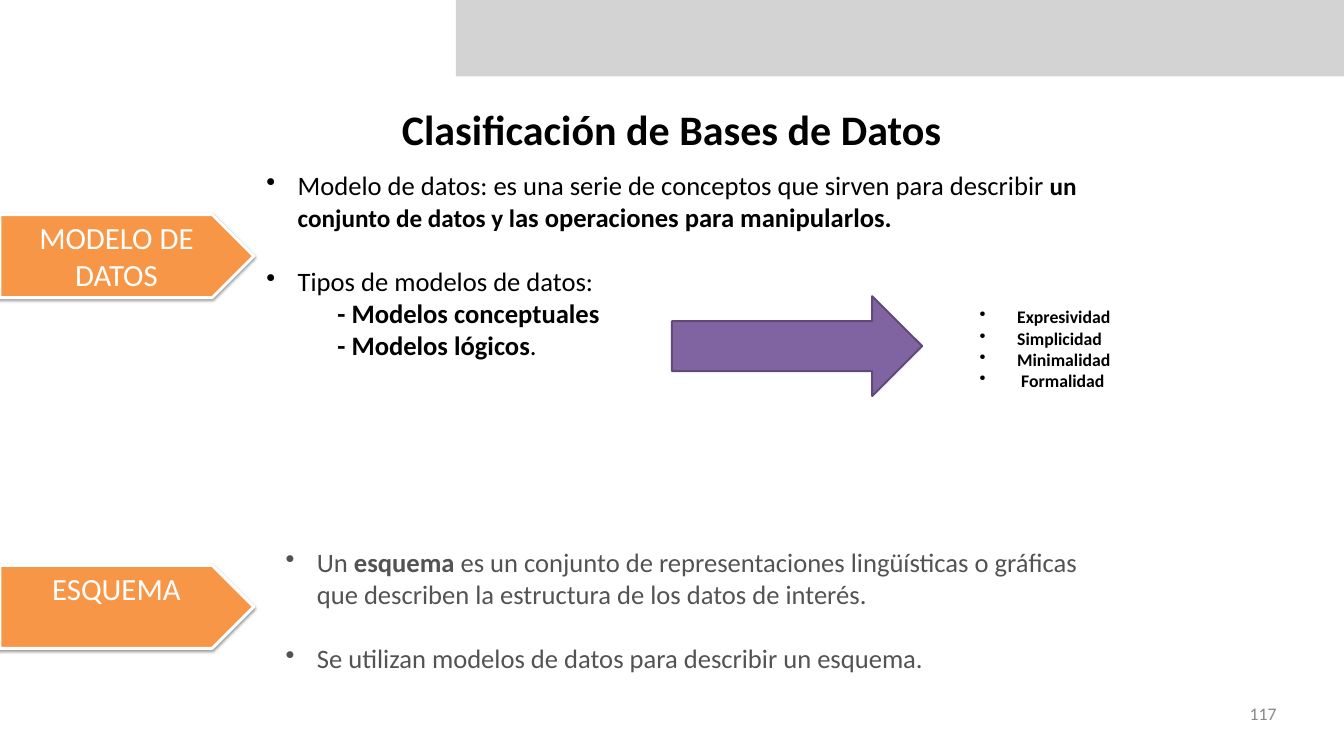
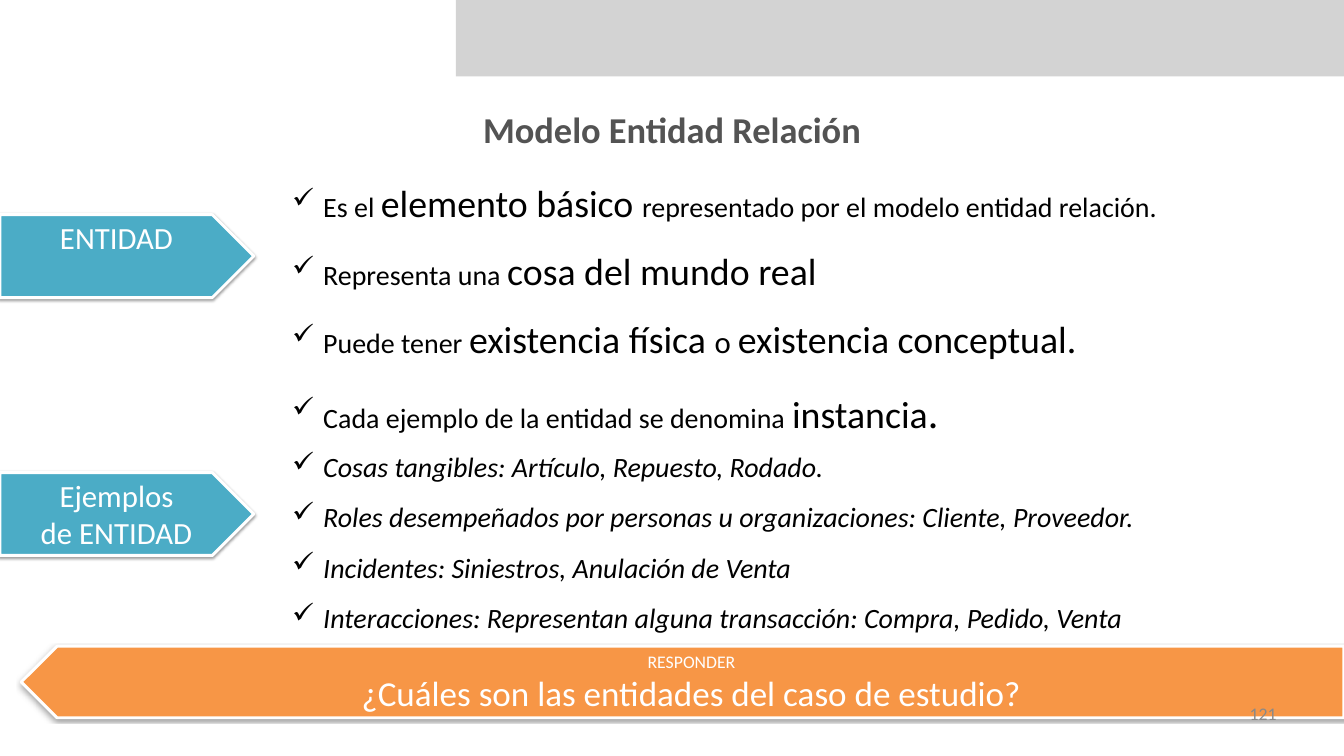
from lxml import etree
from pptx import Presentation
from pptx.dml.color import RGBColor
from pptx.enum.shapes import MSO_SHAPE
from pptx.enum.text import MSO_ANCHOR, MSO_AUTO_SIZE, PP_ALIGN
from pptx.oxml import parse_xml
from pptx.oxml.ns import nsdecls, qn
from pptx.util import Inches, Pt

RECTANGLE = MSO_SHAPE.RECTANGLE
PENTAGON = MSO_SHAPE.PENTAGON
RIGHT_ARROW = MSO_SHAPE.RIGHT_ARROW
TOP = MSO_ANCHOR.TOP
MIDDLE = MSO_ANCHOR.MIDDLE
LEFT = PP_ALIGN.LEFT
CENTER = PP_ALIGN.CENTER
RIGHT = PP_ALIGN.RIGHT
NO_AUTOFIT = MSO_AUTO_SIZE.NONE

BLACK = RGBColor(0x00, 0x00, 0x00)
WHITE = RGBColor(0xFF, 0xFF, 0xFF)
CHARCOAL = RGBColor(0x53, 0x53, 0x53)
NUMBER_GREY = RGBColor(0x89, 0x89, 0x89)
BAND_GREY = RGBColor(0xD3, 0xD3, 0xD3)
ORANGE = RGBColor(0xF7, 0x96, 0x46)
TEAL = RGBColor(0x4B, 0xAC, 0xC6)
PURPLE = RGBColor(0x80, 0x64, 0xA2)
DARK_PURPLE = RGBColor(0x5F, 0x4A, 0x78)

FONT = "Calibri"
INSET = 0.06
DOT = "•"
CHECK = "✓"
BODY_SIZE = 27
LABEL_SIZE = 31.3
CHECK_SIZE = 28.4
KEY_SIZE = 38.4
BLANK_LINE = 32.5

SHADOW = (
    f'<a:effectLst {nsdecls("a")}><a:outerShdw blurRad="39370" dist="20320" dir="5400000" '
    'rotWithShape="0"><a:srgbClr val="000000"><a:alpha val="38000"/></a:srgbClr>'
    "</a:outerShdw></a:effectLst>"
)


class Deck:
    def __init__(self):
        self.presentation = Presentation()
        self.presentation.slide_width = Inches(18.96)
        self.presentation.slide_height = Inches(10.67)
        self.slide = None

    def start_slide(self, title, size, color):
        self.slide = self.presentation.slides.add_slide(self.presentation.slide_layouts[5])
        heading = self.slide.shapes.title
        heading.left, heading.top = Inches(3.76), Inches(1.45)
        heading.width, heading.height = Inches(11.44), Inches(0.73)
        self.prepare(heading.text_frame, MIDDLE, INSET)
        self.fill_paragraph(heading.text_frame.paragraphs[0], title, size, color, CENTER, bold=True)
        self.shape(RECTANGLE, (6.43, 0, 12.53, 1.08), BAND_GREY)

    def prepare(self, frame, anchor, inset):
        frame.word_wrap = True
        frame.auto_size = NO_AUTOFIT
        frame.vertical_anchor = anchor
        frame.margin_left = frame.margin_right = Inches(inset)
        frame.margin_top = frame.margin_bottom = Inches(inset)

    def fill_paragraph(self, paragraph, content, size, color, align=LEFT, bold=False, italic=False):
        paragraph.alignment = align
        font = paragraph.font
        font.name, font.size, font.bold, font.italic = FONT, Pt(size), bold, italic
        font.color.rgb = color
        pieces = [(content, {})] if isinstance(content, str) else content
        for text, changes in pieces:
            run = paragraph.add_run()
            run.text = text
            if "size" in changes:
                run.font.size = Pt(changes["size"])
            if "bold" in changes:
                run.font.bold = changes["bold"]

    def indent(self, paragraph, margin, bullet=None):
        properties = paragraph._p.get_or_add_pPr()
        properties.set("marL", str(Inches(margin)))
        if bullet:
            properties.set("indent", str(-Inches(margin)))
            etree.SubElement(properties, qn("a:buChar")).set("char", bullet)

    def text(self, box, anchor=TOP, inset=INSET):
        frame = self.slide.shapes.add_textbox(*map(Inches, box)).text_frame
        self.prepare(frame, anchor, inset)
        return frame

    def next_paragraph(self, frame):
        first = frame.paragraphs[0]
        return frame.add_paragraph() if first.runs else first

    def bullets(self, frame, items, size, color, bullet=DOT, margin=0.44, gap=0,
                spacing=None, bold=False, italic=False):
        for position, content in enumerate(items):
            paragraph = self.next_paragraph(frame)
            self.indent(paragraph, margin, bullet)
            if spacing:
                paragraph.line_spacing = spacing
            if gap and position:
                paragraph.space_before = Pt(gap)
            self.fill_paragraph(paragraph, content, size, color, bold=bold, italic=italic)

    def shape(self, kind, box, fill, outline=None, outline_width=0):
        shape = self.slide.shapes.add_shape(kind, *map(Inches, box))
        shape.shadow.inherit = False
        shape.fill.solid()
        shape.fill.fore_color.rgb = fill
        if outline is None:
            shape.line.fill.background()
        else:
            shape.line.color.rgb = outline
            shape.line.width = Pt(outline_width)
        return shape

    def tag(self, box, fill, lines, flipped=False):
        tag = self.shape(PENTAGON, box, fill, WHITE, 3)
        properties = tag._element.spPr
        properties.replace(properties.find(qn("a:effectLst")), parse_xml(SHADOW))
        if flipped:
            properties.find(qn("a:xfrm")).set("flipH", "1")
        self.prepare(tag.text_frame, TOP, INSET)
        for line, size in lines:
            self.fill_paragraph(self.next_paragraph(tag.text_frame), line, size, WHITE, CENTER)

    def side_tag(self, top, fill, *lines):
        self.tag((0, top, 3.58, 1.17), fill, [(line, LABEL_SIZE) for line in lines])

    def number(self, value):
        frame = self.text((13.65, 9.92, 4.36, 0.3), inset=0)
        self.fill_paragraph(frame.paragraphs[0], value, 18, NUMBER_GREY, RIGHT)


def build_classification(deck):
    deck.start_slide("Clasificación de Bases de Datos", 42.7, BLACK)
    strong = {"bold": True}
    models = deck.text((3.76, 2.39, 11.44, 2.73), inset=0)
    deck.bullets(models, [
        [("Modelo de datos: es una serie de conceptos que sirven para describir ", {}),
         ("un conjunto de datos y l", {"size": 25.6, "bold": True}),
         ("as operaciones para manipularlos.", strong)],
        "Tipos de modelos de datos:",
    ], BODY_SIZE, BLACK, gap=BLANK_LINE)
    deck.bullets(models, [
        "- Modelos conceptuales",
        [("- Modelos lógicos", {}), (".", {"bold": False})],
    ], BODY_SIZE, BLACK, bullet=None, margin=1, bold=True)
    deck.side_tag(3.03, ORANGE, "MODELO DE", "DATOS")
    qualities = deck.text((13.76, 4.11, 4.27, 1.62), MIDDLE)
    deck.bullets(qualities, ["Expresividad", "Simplicidad", "Minimalidad", " Formalidad"],
                 18, BLACK, margin=0.53, bold=True)
    deck.shape(RIGHT_ARROW, (9.48, 4.18, 3.53, 1.41), PURPLE, DARK_PURPLE, 2)
    deck.side_tag(7.98, ORANGE, "ESQUEMA")
    schema = deck.text((3.97, 7.65, 11.52, 2.39))
    deck.bullets(schema, [
        [("Un ", {}), ("esquema ", strong),
         ("es un conjunto de representaciones lingüísticas o gráficas que describen "
          "la estructura de los datos de interés.", {})],
        "Se utilizan modelos de datos para describir un esquema.",
    ], BODY_SIZE, CHARCOAL, gap=BLANK_LINE)
    deck.number("117")


def build_entity_model(deck):
    deck.start_slide("Modelo Entidad Relación", 37, CHARCOAL)
    key = {"size": KEY_SIZE}
    definition = deck.text((4.06, 2.14, 14.47, 4.1), MIDDLE)
    deck.bullets(definition, [
        [("Es el ", {}), ("elemento básico ", key),
         ("representado por el modelo entidad relación.", {})],
        [("Representa una ", {}), ("cosa del mundo real", key)],
        [("Puede tener ", {}), ("existencia física ", key), ("o ", {"size": LABEL_SIZE}),
         ("existencia conceptual.", key)],
        [("Cada ejemplo de la entidad se denomina ", {}), ("instancia", key),
         (".", {"size": 42.7})],
    ], CHECK_SIZE, BLACK, CHECK, spacing=1.5)
    deck.side_tag(3.03, TEAL, "ENTIDAD")
    examples = deck.text((4.06, 6.04, 13.51, 2.98), MIDDLE)
    deck.bullets(examples, [
        "Cosas tangibles: Artículo, Repuesto, Rodado.",
        "Roles desempeñados por personas u organizaciones: Cliente, Proveedor.",
        "Incidentes: Siniestros, Anulación de Venta",
        "Interacciones: Representan alguna transacción: Compra, Pedido, Venta",
    ], CHECK_SIZE, BLACK, CHECK, spacing=1.5, italic=True)
    deck.side_tag(6.67, TEAL, "Ejemplos", "de ENTIDAD")
    deck.tag((0.3, 9.12, 18.66, 1.01), ORANGE, [
        ("RESPONDER", 18),
        ("¿Cuáles son las entidades del caso de estudio?", 35.6),
    ], flipped=True)
    deck.number("121")


def main():
    deck = Deck()
    build_classification(deck)
    build_entity_model(deck)
    deck.presentation.save("out.pptx")


if __name__ == "__main__":
    main()
